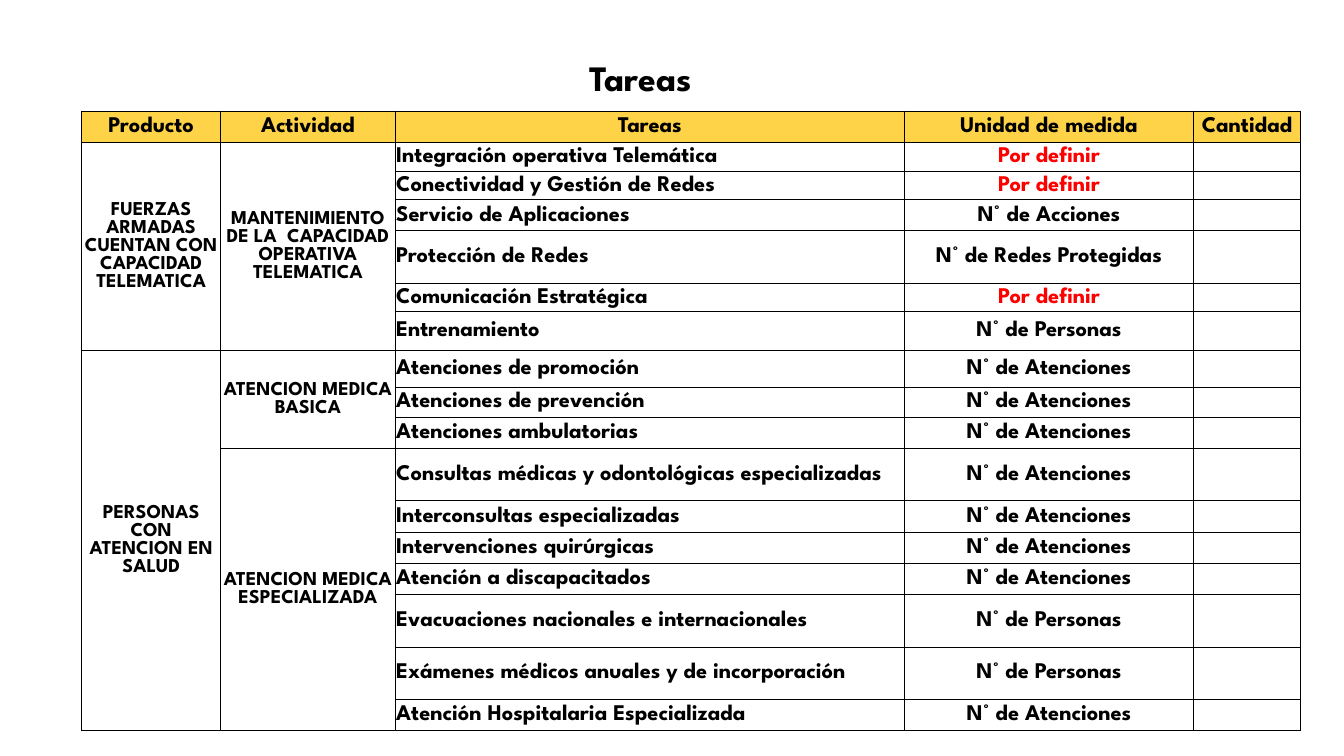
from typing import NamedTuple

from lxml import etree
from pptx import Presentation
from pptx.dml.color import RGBColor
from pptx.enum.text import MSO_ANCHOR, MSO_AUTO_SIZE, PP_ALIGN
from pptx.oxml.ns import qn
from pptx.util import Inches, Pt

CENTER, LEFT = PP_ALIGN.CENTER, PP_ALIGN.LEFT
MIDDLE, TOP = MSO_ANCHOR.MIDDLE, MSO_ANCHOR.TOP
GROW = MSO_AUTO_SIZE.SHAPE_TO_FIT_TEXT

FONT = "League Spartan"
BLACK, WHITE, RED, YELLOW = "000000", "FFFFFF", "FF0000", "FFD347"
PENDING = "Por definir"
ACTIONS, PEOPLE, CARE = "N° de Acciones", "N° de Personas", "N° de Atenciones"


class Task(NamedTuple):
    name: str
    unit: str
    height: float


class Group(NamedTuple):
    column: int
    first_row: int
    row_count: int
    name: str


HEADER_HEIGHT = 0.31
HEADERS = ["Producto", "Actividad", "Tareas", "Unidad de medida", "Cantidad"]
COLUMN_WIDTHS = [1.38, 1.73, 5.05, 2.87, 1.06]
TASK_COLUMN, UNIT_COLUMN, QUANTITY_COLUMN = 2, 3, 4

TASKS = [
    Task("Integración operativa Telemática", PENDING, 0.29),
    Task("Conectividad y Gestión de Redes", PENDING, 0.28),
    Task("Servicio de Aplicaciones", ACTIONS, 0.31),
    Task("Protección de Redes", "N° de Redes Protegidas", 0.52),
    Task("Comunicación Estratégica", PENDING, 0.28),
    Task("Entrenamiento", PEOPLE, 0.39),
    Task("Atenciones de promoción", CARE, 0.36),
    Task("Atenciones de prevención", CARE, 0.3),
    Task("Atenciones ambulatorias", CARE, 0.31),
    Task("Consultas médicas y odontológicas especializadas", CARE, 0.52),
    Task("Interconsultas especializadas", CARE, 0.31),
    Task("Intervenciones quirúrgicas", CARE, 0.31),
    Task("Atención a discapacitados", CARE, 0.31),
    Task("Evacuaciones nacionales e internacionales", PEOPLE, 0.52),
    Task("Exámenes médicos anuales y de incorporación", PEOPLE, 0.52),
    Task("Atención Hospitalaria Especializada", CARE, 0.31),
]
GROUPS = [
    Group(0, 1, 6, "FUERZAS ARMADAS CUENTAN CON CAPACIDAD TELEMATICA"),
    Group(1, 1, 6, "MANTENIMIENTO DE LA  CAPACIDAD OPERATIVA TELEMATICA"),
    Group(0, 7, 10, "PERSONAS CON ATENCION EN SALUD"),
    Group(1, 7, 3, "ATENCION MEDICA BASICA"),
    Group(1, 10, 7, "ATENCION MEDICA ESPECIALIZADA"),
]


def rgb(color: str) -> RGBColor:
    return RGBColor.from_string(color)


def format_font(font, size: float, color: str) -> None:
    font.name = FONT
    font.size = Pt(size)
    font.bold = True
    font.color.rgb = rgb(color)


def style_cell(cell, fill: str = WHITE) -> None:
    """Give a cell its margins, thin black borders and fill."""
    cell.margin_left = cell.margin_right = cell.margin_top = Inches(0.01)
    cell.margin_bottom = 0
    cell.vertical_anchor = MIDDLE
    properties = cell._tc.get_or_add_tcPr()
    for side in ("lnL", "lnR", "lnT", "lnB"):
        line = etree.SubElement(properties, qn(f"a:{side}"), w=str(Pt(0.5)))
        solid = etree.SubElement(line, qn("a:solidFill"))
        etree.SubElement(solid, qn("a:srgbClr"), val=BLACK)
    cell.fill.solid()
    cell.fill.fore_color.rgb = rgb(fill)
    # Small end mark, so that an empty cell does not stretch its row
    for para in cell.text_frame.paragraphs:
        etree.SubElement(para._p, qn("a:endParaRPr"), sz="1000")


def write_cell(cell, text: str, size: float = 16, color: str = BLACK,
               align: PP_ALIGN = CENTER) -> None:
    para = cell.text_frame.paragraphs[0]
    para.text = text
    para.alignment = align
    format_font(para.runs[0].font, size, color)


def add_title(page) -> None:
    title = page.shapes.title
    title.left, title.top = Inches(5.61), Inches(0.38)
    title.width, title.height = Inches(1.49), Inches(0.63)
    frame = title.text_frame
    frame.text = "Tareas"
    frame.word_wrap = False
    frame.auto_size = GROW
    frame.vertical_anchor = TOP
    para = frame.paragraphs[0]
    para.alignment = CENTER
    para.line_spacing = 1.07
    span = para.runs[0]
    format_font(span.font, 44, BLACK)
    span._r.get_or_add_rPr().set("baseline", "30000")


def add_task_table(page) -> None:
    heights = [HEADER_HEIGHT] + [task.height for task in TASKS]
    table = page.shapes.add_table(
        len(heights), len(HEADERS), Inches(0.81), Inches(1.1),
        Inches(sum(COLUMN_WIDTHS)), Inches(sum(heights))).table
    for column, width in zip(table.columns, COLUMN_WIDTHS):
        column.width = Inches(width)
    for row, height in zip(table.rows, heights):
        row.height = Inches(height)

    # Cell look
    for row_index in range(len(heights)):
        for column_index in range(len(HEADERS)):
            style_cell(table.cell(row_index, column_index),
                       WHITE if row_index else YELLOW)

    # Header and task rows
    for column_index, header in enumerate(HEADERS):
        write_cell(table.cell(0, column_index), header)
    for row_index, task in enumerate(TASKS, start=1):
        write_cell(table.cell(row_index, TASK_COLUMN), task.name, align=LEFT)
        write_cell(table.cell(row_index, UNIT_COLUMN), task.unit,
                   color=RED if task.unit == PENDING else BLACK)

    # Merged products and activities
    for group in GROUPS:
        cell = table.cell(group.first_row, group.column)
        last_row = group.first_row + group.row_count - 1
        cell.merge(table.cell(last_row, group.column))
        write_cell(cell, group.name, size=14)


def main() -> None:
    deck = Presentation()
    deck.slide_width, deck.slide_height = Inches(13.33), Inches(7.5)
    page = deck.slides.add_slide(deck.slide_layouts[5])
    add_title(page)
    add_task_table(page)
    deck.save("out.pptx")


if __name__ == "__main__":
    main()
